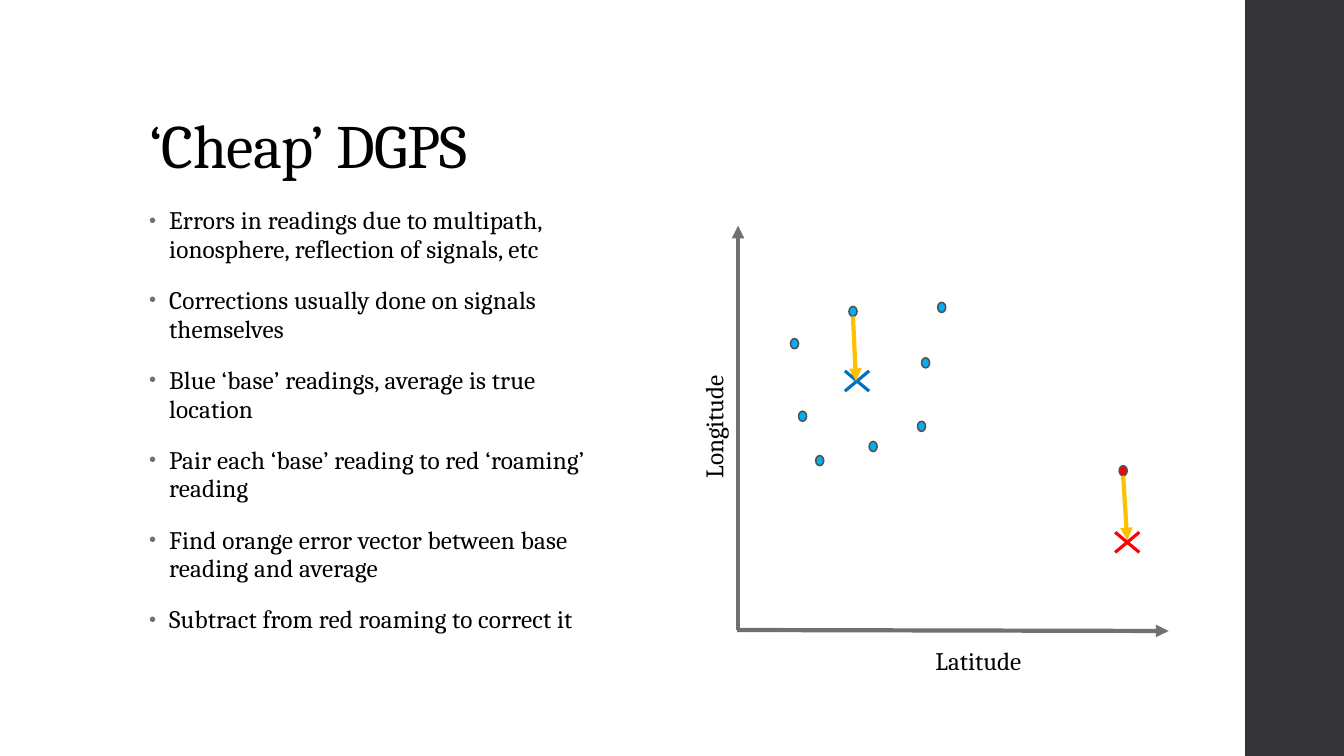
import pptx
import pptx.util
import pptx.dml.color
import pptx.enum.shapes
import pptx.enum.text
import pptx.oxml.ns
import lxml.etree

PX = 9144
FONT = "Cambria"
BLACK, GREY, DARK = "000000", "6F6F74", "353537"
BASE, BASE_MEAN, ROAMING, ERROR = "00B0F0", "0070C0", "FF0000", "FFC000"
READINGS = [
    (56, 117), (64, 189), (114, 85), (134, 219),
    (202, 81), (182, 199), (81, 233), (186, 136),
]
POINTS = [
    "Errors in readings due to multipath, ionosphere, reflection of signals, etc",
    "Corrections usually done on signals themselves",
    "Blue ‘base’ readings, average is true location",
    "Pair each ‘base’ reading to red ‘roaming’ reading",
    "Find orange error vector between base reading and average",
    "Subtract from red roaming to correct it",
]


def px(*lengths):
    return [pptx.util.Emu(round(n * PX)) for n in lengths]


def color(value):
    return pptx.dml.color.RGBColor.from_string(value)


def sub(parent, tag, **attrs):
    return lxml.etree.SubElement(parent, pptx.oxml.ns.qn(tag), **attrs)


def add_bullet(p):
    pPr = p._p.get_or_add_pPr()
    pPr.set("marL", str(20 * PX))
    pPr.set("indent", str(-20 * PX))
    sub(sub(pPr, "a:buClr"), "a:srgbClr", val=GREY)
    sub(pPr, "a:buSzPct", val="80000")
    sub(pPr, "a:buFont", typeface="Arial")
    sub(pPr, "a:buChar", char="•")


def add_text(s, box, *lines, size=18, spacing=None, before=0, after=0,
             tracking=0, bullet=False, wrap=True, bottom=False, rotation=0):
    sp = s.shapes.add_textbox(*px(*box))
    sp.rotation = rotation
    tf = sp.text_frame
    tf.word_wrap = wrap
    if bottom:
        tf.vertical_anchor = pptx.enum.text.MSO_ANCHOR.BOTTOM
    for i, line in enumerate(lines):
        p = tf.add_paragraph() if i else tf.paragraphs[0]
        p.line_spacing = spacing
        p.space_before = pptx.util.Pt(before)
        p.space_after = pptx.util.Pt(after)
        if bullet:
            add_bullet(p)
        r = p.add_run()
        r.text = line
        r.font.name = FONT
        r.font.size = pptx.util.Pt(size)
        r.font.color.rgb = color(BLACK)
        if tracking:
            r._r.get_or_add_rPr().set("spc", str(tracking))


def add_shape(s, kind, box, fill, line=None):
    sp = s.shapes.add_shape(kind, *px(*box))
    sp.shadow.inherit = False
    sp.fill.solid()
    sp.fill.fore_color.rgb = color(fill)
    if line:
        sp.line.color.rgb = color(line)
        sp.line.width = pptx.util.Pt(1.1)
    else:
        sp.line.fill.background()


def add_line(s, start, end, stroke, width=3, arrow=True):
    straight = pptx.enum.shapes.MSO_CONNECTOR.STRAIGHT
    cx = s.shapes.add_connector(straight, *px(*start, *end))
    cx.line.color.rgb = color(stroke)
    cx.line.width = pptx.util.Pt(width)
    if arrow:
        sub(cx.line._get_or_add_ln(), "a:tailEnd", type="triangle")
    sub(cx._element.spPr, "a:effectLst")


def add_dot(s, x, y, fill):
    oval = pptx.enum.shapes.MSO_SHAPE.OVAL
    add_shape(s, oval, (x - 4, y - 5, 8, 10), fill, "525256")


def add_cross(s, x, y, stroke):
    for dy in (-10, 10):
        add_line(s, (x - 12, y + dy), (x + 12, y - dy), stroke, 2.25, False)


def sidebar(s, box):
    add_shape(s, pptx.enum.shapes.MSO_SHAPE.RECTANGLE, box, DARK)


def title(s, box):
    add_text(s, box, "‘Cheap’ DGPS", size=44, spacing=0.9, tracking=-50, bottom=True)


def body(s, box):
    add_text(s, box, *POINTS, spacing=0.95, before=14, after=2, tracking=10, bullet=True)


def plot(s, box):
    left, top, width, height = box

    def at(x, y):
        return left + x, top + y

    add_line(s, at(0, height), at(0, 0), GREY)
    add_line(s, at(-1, height), at(width, height + 1), GREY)
    for reading in READINGS:
        add_dot(s, *at(*reading), BASE)
    add_dot(s, *at(382, 243), ROAMING)
    add_cross(s, *at(118, 154), BASE_MEAN)
    add_line(s, at(114, 90), at(117, 154), ERROR)
    add_line(s, at(382, 248), at(386, 312), ERROR)
    add_cross(s, *at(386, 314), ROAMING)
    add_text(s, (*at(186, height + 10), 121, 40), "Latitude", wrap=False)
    add_text(s, (*at(-94, 171), 139, 40), "Longitude", wrap=False, rotation=270)


def main():
    prs = pptx.Presentation()
    prs.slide_width, prs.slide_height = px(1333, 750)
    s = prs.slides.add_slide(prs.slide_layouts[6])
    sidebar(s, (1235, 0, 98, 750))
    title(s, (138, 40, 1060, 145))
    body(s, (138, 200, 490, 476))
    plot(s, (732, 224, 427, 401))
    prs.save("out.pptx")


if __name__ == "__main__":
    main()
